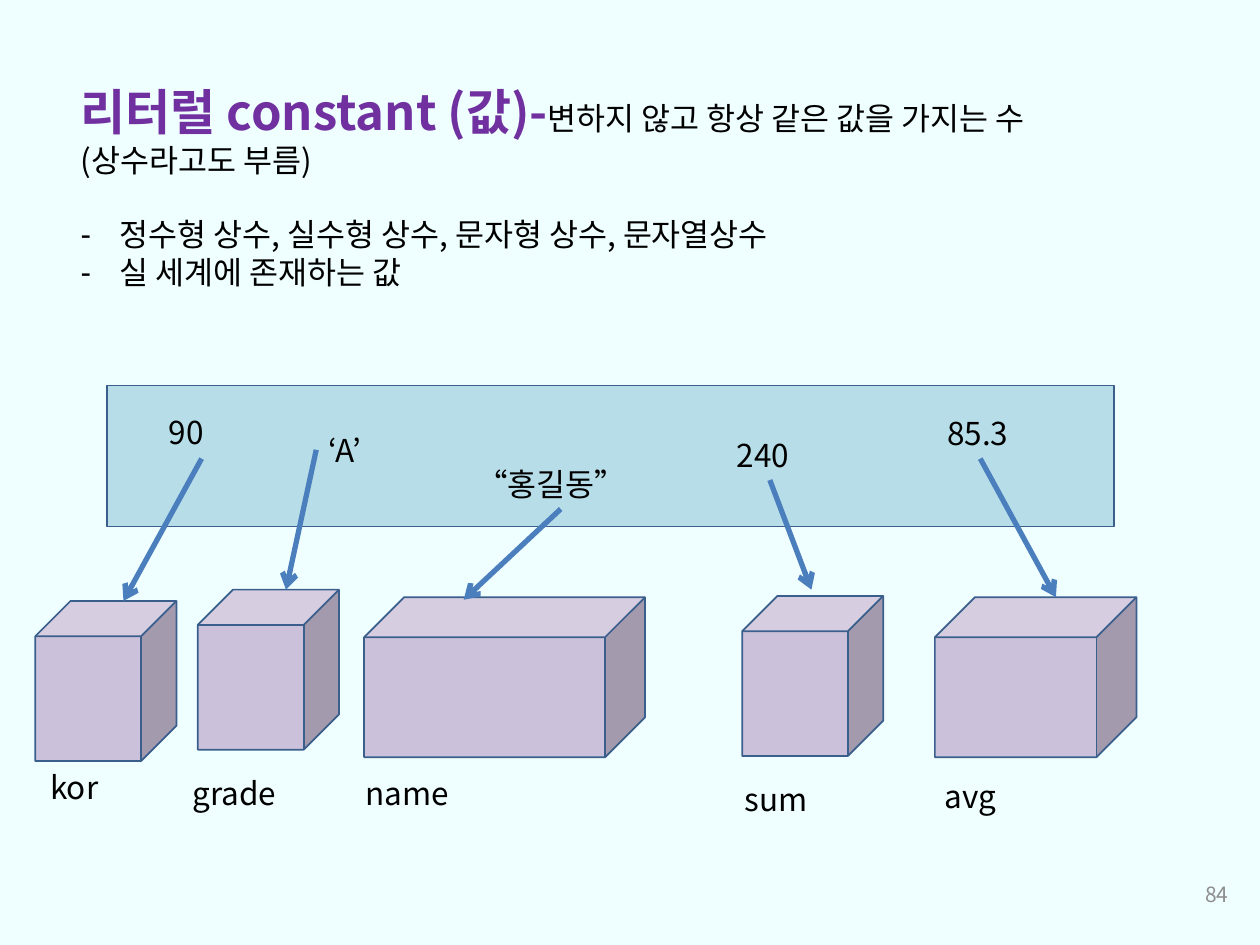
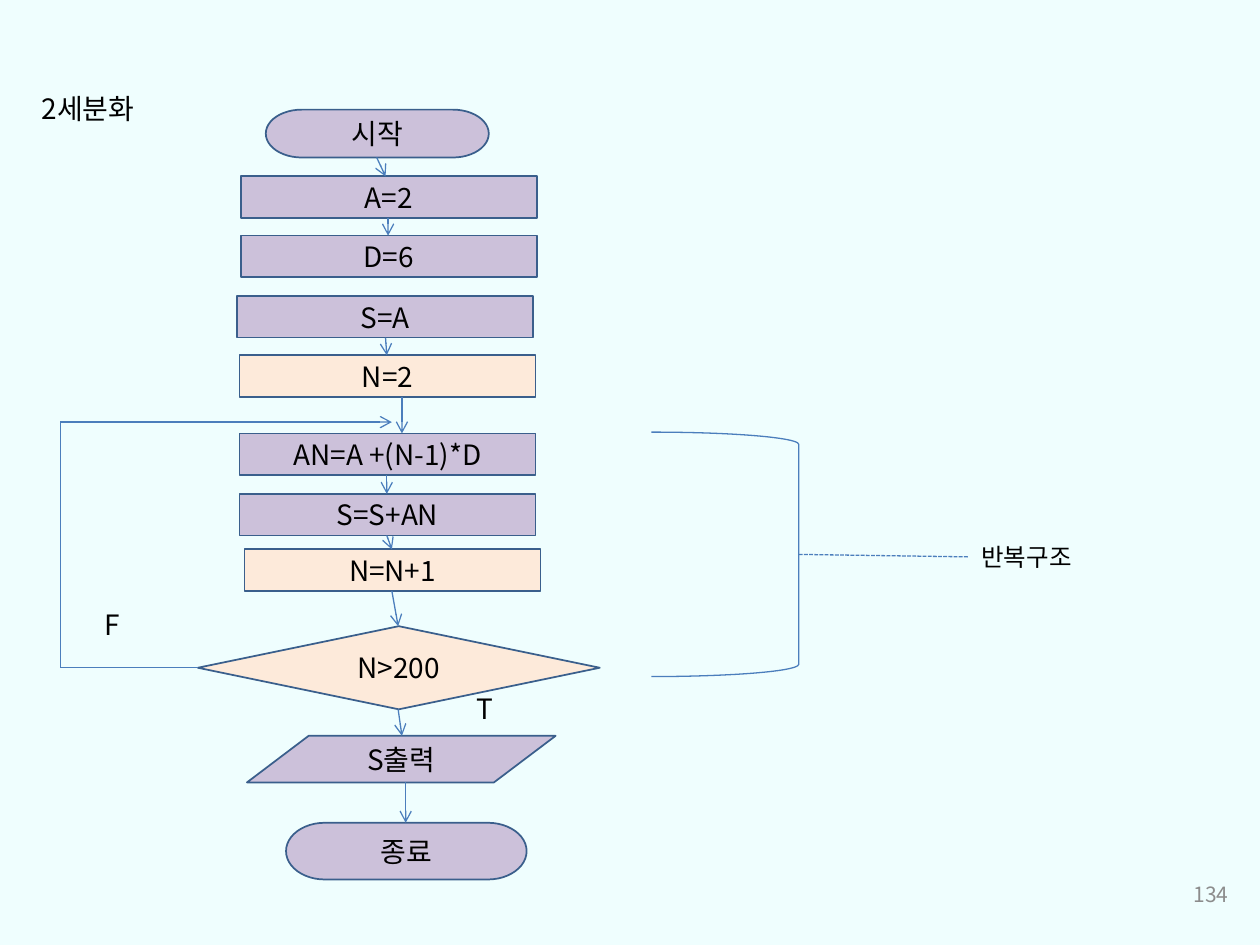
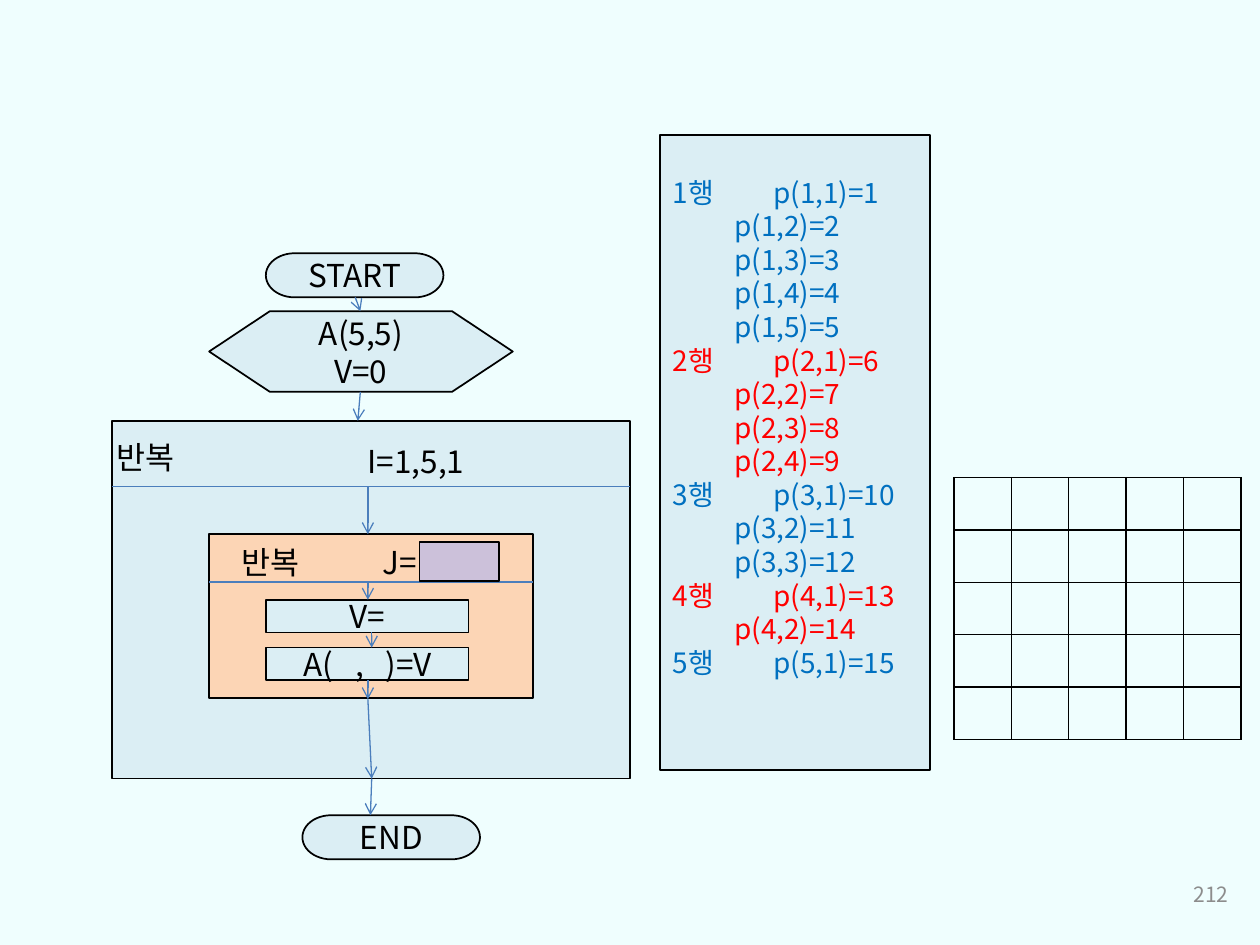
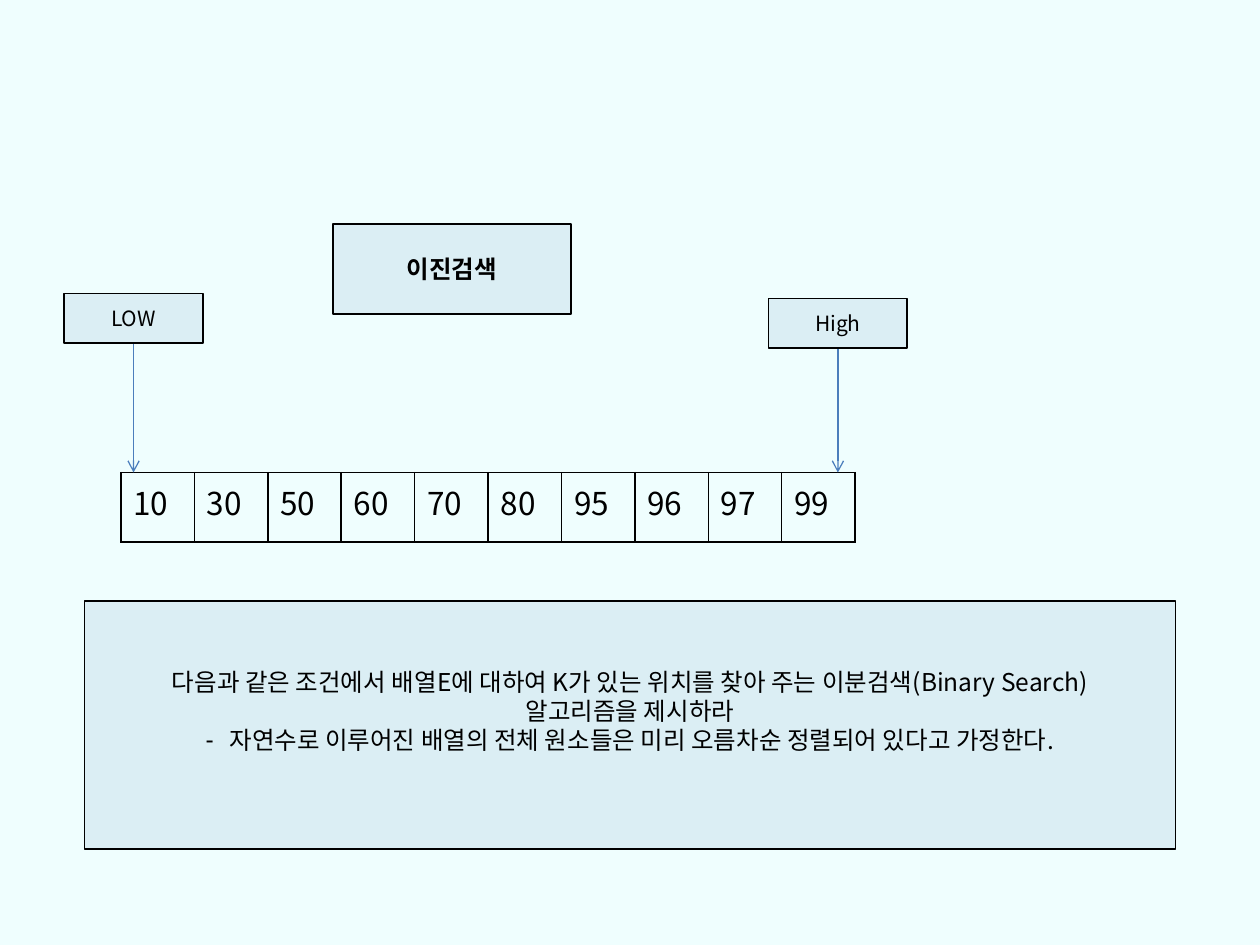
from dataclasses import dataclass
from lxml import etree
from pptx import Presentation
from pptx import util as u
from pptx.dml.color import RGBColor
from pptx.enum import dml, shapes, text
from pptx.oxml import ns

PX = 9144  # 100 px to the inch
KIND = shapes.MSO_SHAPE
LEFT, MID, RIGHT = text.PP_ALIGN.LEFT, text.PP_ALIGN.CENTER, text.PP_ALIGN.RIGHT
TOP, CORE = text.MSO_ANCHOR.TOP, text.MSO_ANCHOR.MIDDLE


@dataclass(frozen=True)
class Theme:
    font: str = "Noto Sans CJK KR"
    back: str = "EFFEFE"
    ink: str = "000000"
    gray: str = "8C8C8C"
    head: str = "7030A0"
    edge: str = "3A5F8C"
    wire: str = "4B7EBC"
    band: str = "B7DEE8"
    lilac: str = "CCC1DA"
    cream: str = "FDEADA"
    ice: str = "DBEEF4"
    peach: str = "FCD5B5"
    blue: str = "0070C0"
    red: str = "FF0000"
    big: int = 28
    main: int = 18
    step: int = 16
    note: int = 14
    small: int = 12


T = Theme()


def px(n):
    return u.Emu(n * PX)


def add(parent, tag, **attrs):
    return etree.SubElement(parent, ns.qn(tag), attrs)


def ink(run, size, color=T.ink, bold=False):
    font = run.font
    font.size, font.bold = u.Pt(size), bold
    font.color.rgb = RGBColor.from_string(color)
    font.name = T.font
    add(font._element, "a:ea", typeface=T.font)


def write(frame, words, size, color=T.ink, bold=False, align=LEFT, anchor=TOP):
    frame.text = words
    frame.word_wrap = True
    frame.auto_size = text.MSO_AUTO_SIZE.NONE
    frame.vertical_anchor = anchor
    for para in frame.paragraphs:
        para.alignment = align
        para.space_before = u.Pt(0)
        for run in para.runs:
            ink(run, size, color, bold)


def indent(para, left, hang=0):
    props = para._p.get_or_add_pPr()
    props.set("marL", str(px(left)))
    props.set("indent", str(px(-hang)))
    return props


def plain(para):
    add(indent(para, 0), "a:buNone")


def dash(para, left):
    add(indent(para, left, left), "a:buChar", char="-")


def tabs(para, *stops):
    group = add(para._p.get_or_add_pPr(), "a:tabLst")
    for stop in stops:
        add(group, "a:tab", pos=str(px(stop)), algn="l")


def paint(shape, fill, edge):
    if fill:
        shape.fill.solid()
        shape.fill.fore_color.rgb = RGBColor.from_string(fill)
    else:
        shape.fill.background()
    shape.line.color.rgb = RGBColor.from_string(edge)
    shape.line.width = u.Pt(1)


def move(shape, x, y, w, h):
    shape.left, shape.top, shape.width, shape.height = map(px, (x, y, w, h))


@dataclass
class Area:
    """A box on a slide; its parts are placed from its top left corner."""
    slide: object
    x: int
    y: int
    w: int
    h: int

    def sub(self, x, y, w, h):
        return Area(self.slide, self.x + x, self.y + y, w, h)

    def spot(self, x, y):
        return px(self.x + x), px(self.y + y)

    def box(self, kind, x, y, w, h, fill, edge=T.edge, words="", size=T.main):
        shape = self.slide.shapes.add_shape(kind, *self.spot(x, y), px(w), px(h))
        shape.shadow.inherit = False
        paint(shape, fill, edge)
        if words:
            write(shape.text_frame, words, size, align=MID, anchor=CORE)
        return shape

    def label(self, words, x, y, w, h=40, size=T.main, **look):
        shape = self.slide.shapes.add_textbox(*self.spot(x, y), px(w), px(h))
        write(shape.text_frame, words, size, **look)

    def line(self, x1, y1, x2, y2, width=0.75, head=False, dots=False):
        wire = self.slide.shapes.add_connector(
            shapes.MSO_CONNECTOR.STRAIGHT, *self.spot(x1, y1), *self.spot(x2, y2))
        wire.line.color.rgb = RGBColor.from_string(T.wire)
        wire.line.width = u.Pt(width)
        if dots:
            wire.line.dash_style = dml.MSO_LINE.SQUARE_DOT
        if head:
            add(wire.line._get_or_add_ln(), "a:tailEnd", type="arrow")
        add(wire._element.spPr, "a:effectLst")

    def arrow(self, x1, y1, x2, y2, width=0.75):
        self.line(x1, y1, x2, y2, width, head=True)

    def grid(self, rows):
        """Fill the area with equal cells in black borders."""
        high, wide = len(rows), len(rows[0])
        table = self.slide.shapes.add_table(
            high, wide, *self.spot(0, 0), px(self.w), px(self.h)).table
        table.first_row = table.horz_banding = False
        for r, row in enumerate(rows):
            for c, words in enumerate(row):
                cell = table.cell(r, c)
                if words:
                    write_cell(cell, words)
                border(cell)
                cell.fill.background()


def write_cell(cell, words):
    cell.text = words
    ink(cell.text_frame.paragraphs[0].runs[0], T.main)


def border(cell):
    props = cell._tc.get_or_add_tcPr()
    for side in ("a:lnL", "a:lnR", "a:lnT", "a:lnB"):
        edge = add(props, side, w=str(u.Pt(1)))
        add(add(edge, "a:solidFill"), "a:srgbClr", val=T.ink)


def start(deck, layout, number=""):
    """Add a slide with its page number and return its whole area."""
    slide = deck.slides.add_slide(deck.slide_layouts[layout])
    page = Area(slide, 0, 0, 1000, 750)
    if number:
        page.label(number, 752, 690, 233, size=T.small, color=T.gray,
                   align=RIGHT, anchor=CORE)
    return page


# Literals

def intro(area):
    head, body = area.slide.placeholders
    move(head, area.x, area.y, area.w, 106)
    write(head.text_frame, "리터럴 constant (값)-", T.big, T.head, True)
    tail = head.text_frame.paragraphs[0].add_run()
    tail.text = "변하지 않고 항상 같은 값을 가지는 수 (상수라고도 부름)"
    ink(tail, T.main)
    move(body, area.x, area.y + 106, area.w, area.h - 106)
    write(body.text_frame, "정수형 상수, 실수형 상수, 문자형 상수, 문자열상수\n"
          "실 세계에 존재하는 값", T.main)
    for para in body.text_frame.paragraphs:
        dash(para, 31)


def store(area, name, tag, value, cell, path):
    """A cube with its name below and an arrow from its value above."""
    area.box(KIND.CUBE, 0, 0, area.w, area.h, T.lilac)
    area.label(name, *tag)
    area.label(value, *cell)
    area.arrow(*path, width=3)


def literals(deck):
    page = start(deck, 1, "84")
    page.box(KIND.RECTANGLE, 85, 306, 799, 112, T.band)
    intro(page.sub(54, 60, 835, 178))
    stores = [
        (28, 477, 112, "kor", (2, 128, 79), "90", (96, -154, 72), (132, -113, 70, 0)),
        (157, 468, 112, "grade", (-14, 141, 125), "‘A’", (94, -131, 76), (94, -111, 70, 0)),
        (289, 474, 223, "name", (-9, 135, 112), "“홍길동”", (79, -110, 173), (156, -70, 79, 2)),
        (589, 473, 112, "sum", (-8, 141, 79), "240", (-14, -132, 72), (22, -92, 55, -5)),
        (742, 474, 160, "avg", (-2, 138, 79), "85.3", (0, -150, 72), (36, -110, 96, 0)),
    ]
    for x, y, w, *parts in stores:
        store(page.sub(x, y, w, 127), *parts)


# Flow chart of a sum

def steps(area):
    """Boxes from top to bottom, each with the arrow that leads to it."""
    end, act = KIND.FLOWCHART_TERMINATOR, KIND.FLOWCHART_PROCESS
    test, out = KIND.FLOWCHART_DECISION, KIND.FLOWCHART_DATA
    rows = [
        ("시작", end, (54, 0, 177, 38), T.lilac, None),
        ("A=2", act, (34, 53, 235, 33), T.lilac, (142, 149)),
        ("D=6", act, (34, 100, 235, 33), T.lilac, (151, 151)),
        ("S=A", act, (31, 148, 235, 33), T.lilac, None),
        ("N=2", act, (33, 195, 235, 33), T.cream, (149, 150)),
        ("AN=A +(N-1)*D", act, (33, 257, 235, 33), T.lilac, (162, 162)),
        ("S=S+AN", act, (33, 305, 235, 33), T.lilac, (150, 150)),
        ("N=N+1", act, (37, 349, 235, 33), T.cream, (150, 154)),
        ("N>200", test, (0, 410, 319, 66), T.cream, (154, 159)),
        ("S출력", out, (39, 497, 245, 37), T.lilac, (159, 162)),
        ("종료", end, (70, 566, 191, 45), T.lilac, (165, 165)),
    ]
    foot = 0
    for words, kind, box, fill, path in rows:
        area.box(kind, *box, fill, words=words, size=T.step)
        if path:
            area.arrow(path[0], foot, path[1], box[1])
        foot = box[1] + box[3]


def back(area):
    """The way back from the test to the top of the loop."""
    area.line(109, area.h, 0, area.h)
    area.line(0, area.h, 0, 0)
    area.arrow(0, 0, area.w, 0)
    area.label("F", 25, 142, 84, 45, T.step)
    area.label("T", 320, 209, 84, 45, T.step)


def brace(area):
    area.box(KIND.RIGHT_BRACKET, 0, 0, 117, area.h, None, T.wire).line.width = u.Pt(0.75)
    area.line(117, 97, 252, 99, dots=True)
    area.label("반복구조", 252, 82, 126, 34, T.note)


def series(deck):
    page = start(deck, 5, "134")
    head = page.slide.shapes.title
    move(head, 23, 68, 142, 45)
    write(head.text_frame, "2세분화", T.step)
    steps(page.sub(157, 87, 319, 611))
    back(page.sub(48, 335, 263, 195))
    brace(page.sub(517, 343, 378, 194))


# Nested loops

def loop(area, fill, bar, tag, span, words):
    area.box(KIND.RECTANGLE, 0, 0, area.w, area.h, fill, T.ink)
    area.line(0, bar, area.w, bar)
    area.label("반복", *tag, 100, 44)
    area.label(words, *span, 199, 44)


def inner(area):
    loop(area, T.peach, 38, (16, 2), (128, 2), "J=")
    area.box(KIND.RECTANGLE, 167, 6, 63, 31, T.lilac, T.ink)
    area.box(KIND.RECTANGLE, 45, 52, 161, 26, T.ice, T.ink, "V=")
    item = area.box(KIND.RECTANGLE, 45, 90, 161, 26, T.ice, T.ink, "A(\t,\t)=V")
    item.text_frame.margin_left = px(30)
    para = item.text_frame.paragraphs[0]
    para.alignment = LEFT
    tabs(para, 41, 65)
    for path in ((126, 38, 126, 52), (129, 78, 129, 90), (126, 116, 126, 131)):
        area.arrow(*path)


def nest(area):
    end = KIND.FLOWCHART_TERMINATOR
    loop(area.sub(0, 133, 411, 284), T.ice, 52, (-6, 9), (193, 12), "I=1,5,1")
    inner(area.sub(77, 223, 257, 130))
    area.box(end, 122, 0, 141, 35, T.ice, T.ink, "START")
    area.box(KIND.FLOWCHART_PREPARATION, 77, 46, 241, 64, T.ice, T.ink, "A(5,5)\nV=0")
    area.box(end, 151, 446, 141, 35, T.ice, T.ink, "END")
    for path in ((193, 35, 197, 46), (197, 110, 195, 133), (203, 185, 203, 223),
                 (203, 354, 206, 417), (206, 417, 205, 446)):
        area.arrow(*path)


def trace(area):
    """List the values of a triangle, one colour to a row."""
    size, lines, value = 5, [], 0
    for row in range(1, size + 1):
        for col in range(1, size + 2 - row):
            value += 1
            lead = f"{row}행\t" if col == 1 else ""
            lines.append((row, f"{lead}p({row},{col})={value}"))
    panel = area.box(KIND.RECTANGLE, 0, 0, area.w, area.h, T.ice, T.ink)
    frame = panel.text_frame
    write(frame, "\n".join(words for _, words in lines), T.step)
    frame.margin_top = px(32)
    for para, (row, words) in zip(frame.paragraphs, lines):
        color = T.blue if row % 2 else T.red
        for run in para.runs:
            run.font.color.rgb = RGBColor.from_string(color)
        if "\t" in words:
            tabs(para, 80)
        else:
            indent(para, 49)


def nested(deck):
    page = start(deck, 6, "212")
    nest(page.sub(89, 201, 411, 481))
    page.sub(757, 379, 228, 208).grid([[""] * 5] * 5)
    trace(page.sub(524, 107, 214, 504))


# Binary search

def mark(area, words, drop):
    """A small box with an arrow down to the array."""
    area.arrow(55, area.h, 55, drop)
    area.box(KIND.RECTANGLE, 0, 0, area.w, area.h, T.ice, T.ink, words, T.small)


def task(area):
    body = area.slide.placeholders[1]
    move(body, area.x, area.y, area.w, area.h)
    paint(body, T.ice, T.ink)
    frame = body.text_frame
    write(frame, "다음과 같은 조건에서 배열E에 대하여 K가 있는 위치를 찾아 주는 "
          "이분검색(Binary Search)\n알고리즘을 제시하라\n"
          "자연수로 이루어진 배열의 전체 원소들은 미리 오름차순 정렬되어 있다고 가정한다.",
          T.note, align=MID, anchor=CORE)
    frame.margin_bottom = px(28)
    *lead, rule = frame.paragraphs
    for para in lead:
        plain(para)
    dash(rule, 19)


def search(deck):
    page = start(deck, 1)
    head = page.slide.shapes.title
    move(head, 264, 178, 189, 71)
    paint(head, T.ice, T.ink)
    write(head.text_frame, "이진검색", T.note, bold=True, align=MID, anchor=CORE)
    values = (10, 30, 50, 60, 70, 80, 95, 96, 97, 99)
    page.sub(96, 375, 583, 55).grid([[str(v) for v in values]])
    mark(page.sub(51, 233, 110, 39), "LOW", 142)
    mark(page.sub(610, 237, 110, 39), "High", 138)
    task(page.sub(67, 477, 866, 197))


def main():
    deck = Presentation()
    deck.slide_width, deck.slide_height = px(1000), px(750)
    fill = deck.slide_master.background.fill
    fill.solid()
    fill.fore_color.rgb = RGBColor.from_string(T.back)
    for build in (literals, series, nested, search):
        build(deck)
    deck.save("out.pptx")


if __name__ == "__main__":
    main()
